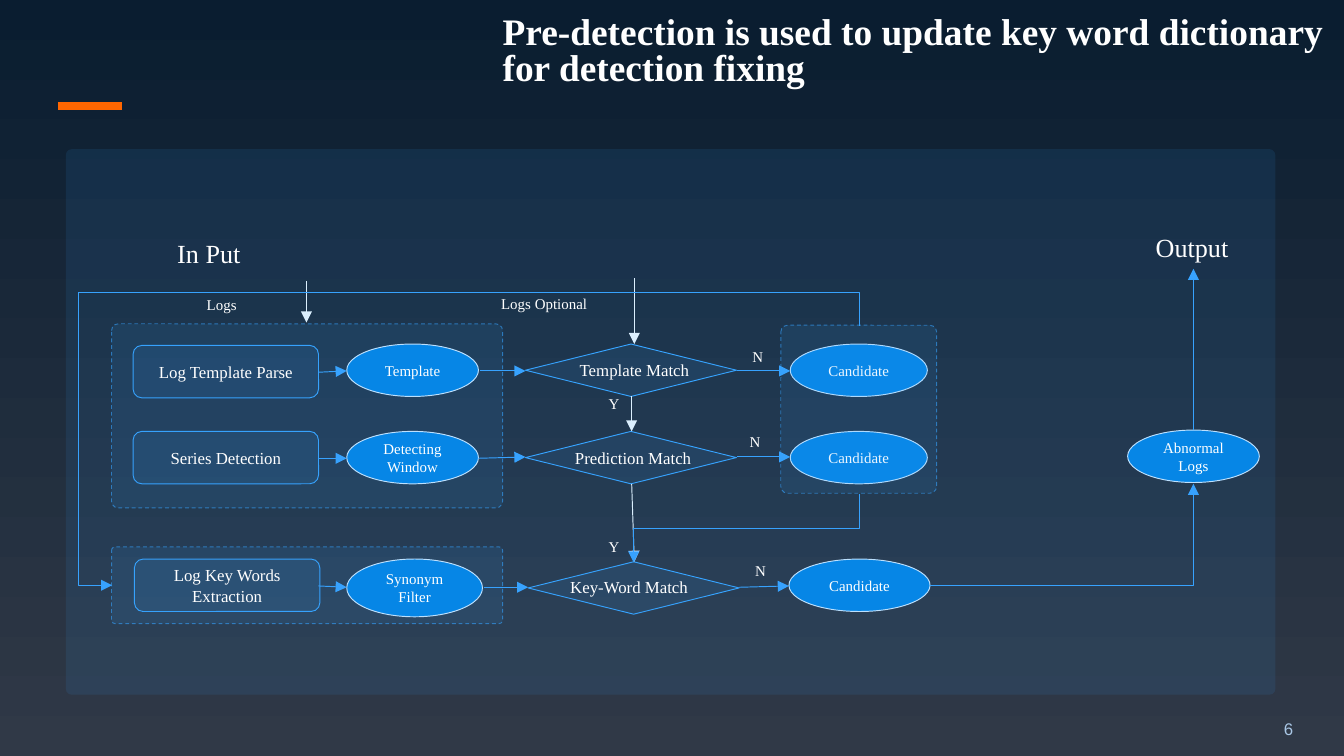
from dataclasses import dataclass
from lxml import etree
from pptx import Presentation
from pptx.dml.color import RGBColor
from pptx.enum.dml import MSO_LINE_DASH_STYLE as Dash
from pptx.enum.shapes import MSO_CONNECTOR as Link, MSO_SHAPE as Shape
from pptx.enum.text import MSO_ANCHOR as Anchor, MSO_AUTO_SIZE as AutoSize, PP_ALIGN as Align
from pptx.oxml.ns import qn
from pptx.util import Inches, Pt


@dataclass(frozen=True)
class Theme:
    night: str = "0A1D30"
    slate: str = "303947"
    accent: str = "FF6600"
    tint: str = "36A2FD"
    flow: str = "37A2FE"
    signal: str = "DBEFFE"
    bubble: str = "0686E6"
    rim: str = "BCE0FE"
    ink: str = "FFFFFF"
    page: str = "A9C7E5"
    serif: str = "Times New Roman"
    sans: str = "Arial"
    title: int = 20
    heading: int = 14
    body: int = 9
    small: int = 8
    hairline: float = 0.5


def rgb(code):
    return RGBColor.from_string(code)


def write(shape, text, size, color, font, bold=False, align=Align.CENTER,
          anchor=Anchor.MIDDLE, inset=None, wrap=True, spacing=None):
    frame = shape.text_frame
    frame.word_wrap = wrap
    frame.vertical_anchor = anchor
    if not wrap:
        frame.auto_size = AutoSize.SHAPE_TO_FIT_TEXT
    if inset is not None:
        frame.margin_left = frame.margin_right = Inches(inset)
        frame.margin_top = frame.margin_bottom = Inches(inset)
    paragraph = frame.paragraphs[0]
    paragraph.alignment = align
    if spacing:
        paragraph.line_spacing = spacing
    run = paragraph.add_run()
    run.text = text
    run.font.size, run.font.name, run.font.bold = Pt(size), font, bold
    run.font.color.rgb = rgb(color)


def set_alpha(fill_parent, percent):
    color = fill_parent.find(qn("a:solidFill"))[0]
    etree.SubElement(color, qn("a:alpha")).set("val", str(percent * 1000))


class FlowSlide:
    """Draws the parts of a flow chart on one slide in one style."""

    def __init__(self, slide, theme):
        self.shapes, self.theme = slide.shapes, theme
        fill = slide.background.fill
        fill.gradient()
        fill.gradient_angle = 90
        for stop, color in zip(fill.gradient_stops, (theme.slate, theme.night)):
            stop.color.rgb = rgb(color)

    def solid(self, kind, box, fill, line=None, alpha=None):
        shape = self.shapes.add_shape(kind, *map(Inches, box))
        shape.shadow.inherit = False
        shape.fill.solid()
        shape.fill.fore_color.rgb = rgb(fill)
        if alpha:
            set_alpha(shape.fill._xPr, alpha)
        if line:
            shape.line.color.rgb = rgb(line)
            shape.line.width = Pt(self.theme.hairline)
        else:
            shape.line.fill.background()
        return shape

    def panel(self, box, corner, dashed=True):
        line = self.theme.tint if dashed else None
        panel = self.solid(Shape.ROUNDED_RECTANGLE, box, self.theme.tint, line, 10)
        panel.adjustments[0] = corner
        if dashed:
            panel.line.dash_style = Dash.DASH
            set_alpha(panel.line._ln, 60)

    def process(self, text, *box):
        step = self.solid(Shape.ROUNDED_RECTANGLE, box, self.theme.tint, self.theme.tint, 10)
        write(step, text, self.theme.body, self.theme.ink, self.theme.serif, inset=0)

    def decision(self, *box):
        self.solid(Shape.DIAMOND, box, self.theme.tint, self.theme.tint, 10)

    def bubble(self, text, *box):
        oval = self.solid(Shape.OVAL, box, self.theme.bubble, self.theme.rim)
        write(oval, text, self.theme.small, self.theme.ink, self.theme.serif)

    def text(self, text, box, size, color=None, font=None, **style):
        area = self.shapes.add_textbox(*map(Inches, box))
        write(area, text, size, color or self.theme.ink, font or self.theme.serif, **style)

    def label(self, text, *box, size=None):
        self.text(text, box, size or self.theme.small, align=Align.LEFT,
                  anchor=Anchor.TOP, wrap=False)

    def line(self, start, end, color, width=None, arrow=True, kind=Link.STRAIGHT):
        link = self.shapes.add_connector(kind, *map(Inches, (*start, *end)))
        link.line.color.rgb = rgb(color)
        link.line.width = Pt(width or self.theme.hairline)
        if arrow:
            etree.SubElement(link.line._ln, qn("a:tailEnd")).set("type", "triangle")
        etree.SubElement(link._element.spPr, qn("a:effectLst"))
        return link

    def elbow(self, box, preset, turn=0, flips="", bends=()):
        left, top, width, height = box
        link = self.line((left, top), (left + width, top + height), self.theme.flow,
                         kind=Link.ELBOW)
        frame = link._element.spPr.find(qn("a:xfrm"))
        frame.set("rot", str(turn * 60000))
        for axis in flips:
            frame.set("flip" + axis, "1")
        geometry = link._element.spPr.find(qn("a:prstGeom"))
        geometry.set("prst", preset)
        for number, bend in enumerate(bends, 1):
            guide = etree.SubElement(geometry.find(qn("a:avLst")), qn("a:gd"))
            guide.set("name", f"adj{number}")
            guide.set("fmla", f"val {round(bend * 100000)}")


def main():
    deck = Presentation()
    deck.slide_width = Inches(10)
    deck.slide_height = deck.slide_width * 9 // 16
    theme = Theme()
    flow = FlowSlide(deck.slides.add_slide(deck.slide_layouts[6]), theme)

    flow.line((0.43, 0.79), (0.91, 0.79), theme.accent, width=4, arrow=False)
    flow.panel((0.49, 1.11, 9, 4.06), 0.011, dashed=False)
    flow.panel((0.83, 2.41, 2.91, 1.37), 0.037)
    flow.panel((0.83, 4.07, 2.91, 0.57), 0.044)
    flow.text("6", (8.15, 5.27, 1.57, 0.3), theme.body, theme.page, theme.sans, align=Align.RIGHT)

    for left, top in ((3.91, 2.56), (3.91, 3.21), (3.93, 4.18)):
        flow.decision(left, top, 1.57, 0.39)
    for step, left, top in (("Log Template Parse", 0.99, 2.57), ("Series Detection", 0.99, 3.21),
                            ("Log Key Words Extraction", 1, 4.16)):
        flow.process(step, left, top, 1.38, 0.39)
    for match, left, top in (("Template Match", 4.03, 2.56), ("Prediction Match", 4.02, 3.21),
                             ("Key-Word Match", 3.99, 4.17)):
        flow.text(match, (left, top, 1.38, 0.39), theme.body, inset=0)
    for result, *box in (("Template", 2.58, 2.56, 0.98, 0.39),
                         ("Detecting Window", 2.58, 3.21, 0.98, 0.39),
                         ("Synonym Filter", 2.58, 4.16, 1.01, 0.43),
                         ("Candidate", 5.88, 2.56, 1.02, 0.39),
                         ("Candidate", 5.88, 3.21, 1.02, 0.39),
                         ("Candidate", 5.87, 4.16, 1.05, 0.39),
                         ("Abnormal Logs", 8.39, 3.2, 0.98, 0.39)):
        flow.bubble(result, *box)

    for start, end in (((2.37, 2.77), (2.58, 2.76)), ((2.37, 3.41), (2.58, 3.41)),
                       ((2.37, 4.36), (2.58, 4.37)), ((3.57, 2.76), (3.91, 2.76)),
                       ((3.56, 3.41), (3.91, 3.4)), ((3.6, 4.37), (3.93, 4.37)),
                       ((5.48, 2.76), (5.88, 2.76)), ((5.48, 3.4), (5.88, 3.4)),
                       ((5.5, 4.37), (5.87, 4.36)), ((8.88, 3.2), (8.88, 2))):
        flow.line(start, end, theme.flow)
    for start, end in (((2.28, 2.09), (2.28, 2.4)), ((4.72, 2.07), (4.72, 2.56)),
                       ((4.7, 2.95), (4.7, 3.21)), ((4.7, 3.6), (4.72, 4.18))):
        flow.line(start, end, theme.signal)
    flow.elbow((6.92, 3.6, 1.96, 0.76), "bentConnector2", flips="V")
    flow.elbow((2.65, 0.61, 1.93, 5.56), "bentConnector4", 270, "HV", (-0.13, 1.045))

    flow.label("Output", 8.5, 1.67, 0.75, 0.34, size=theme.heading)
    flow.label("In Put", 1.22, 1.72, 0.68, 0.34, size=theme.heading)
    flow.label("Logs", 1.44, 2.15, 0.43, 0.24)
    flow.label("Logs Optional", 3.63, 2.14, 0.88, 0.24)
    for top in (2.89, 3.95):
        flow.label("Y", 4.43, top, 0.28, 0.24)
    for left, top in ((5.5, 2.54), (5.48, 3.17), (5.52, 4.13)):
        flow.label("N", left, top, 0.29, 0.24)

    flow.panel((5.81, 2.42, 1.16, 1.25), 0.044)
    flow.elbow((5.3, 3.09, 0.51, 1.68), "bentConnector3", 90, bends=(0.5,))
    flow.text("Pre-detection is used to update key word dictionary for detection fixing",
              (3.74, 0.08, 6.26, 0.63), theme.title, bold=True, align=Align.LEFT,
              inset=0, spacing=0.8)
    deck.save("out.pptx")


if __name__ == "__main__":
    main()
